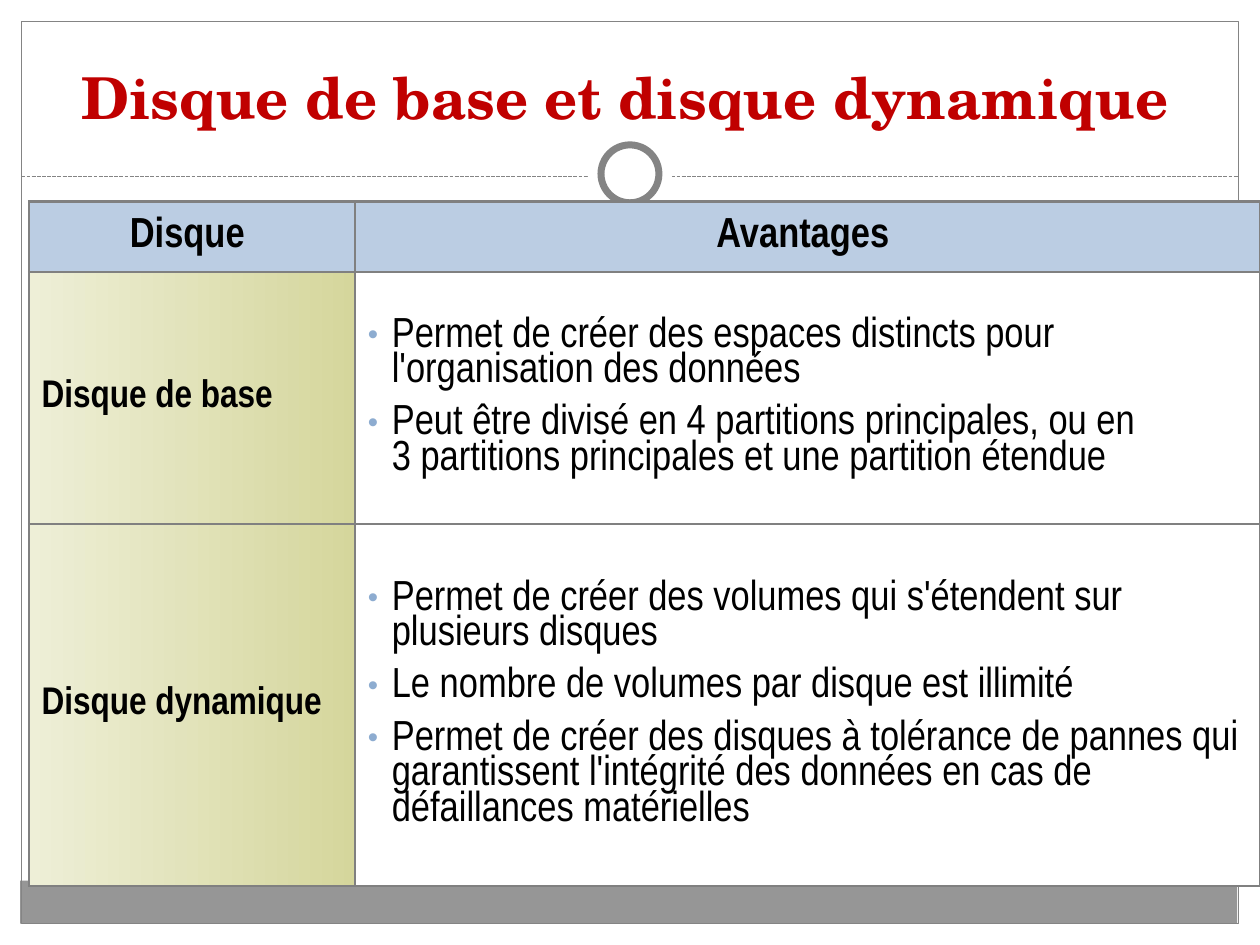
from lxml import etree
from pptx import Presentation
from pptx.dml.color import RGBColor
from pptx.enum import dml, shapes, text
from pptx.oxml import ns
from pptx.util import Inches, Pt

GRAY = "848484"
BORDER = "808080"
HEADER_FILL = "BBCDE3"
LABEL_GRADIENT = ("EEEFD7", "D5D69C")
BULLET = "8DACD0"
TABLE_FONT = "Arial Narrow"

HEADERS = ("Disque ", "Avantages ")
DISKS = (
    ("Disque de base", (
        "Permet de créer des espaces distincts pour l'organisation des données",
        "Peut être divisé en 4 partitions principales, ou en\n"
        "3 partitions principales et une partition étendue",
    )),
    ("Disque dynamique", (
        "Permet de créer des volumes qui s'étendent sur plusieurs disques",
        "Le nombre de volumes par disque est illimité",
        "Permet de créer des disques à tolérance de pannes qui garantissent "
        "l'intégrité des données en cas de défaillances matérielles",
    )),
)


def color(value):
    return RGBColor.from_string(value)


def add_sub(parent, tag, **attributes):
    return etree.SubElement(parent, ns.qn(tag), attributes)


def add_shape(slide, kind, box, fill=None, line=None, width=0.75):
    shape = slide.shapes.add_shape(kind, *map(Inches, box))
    shape.shadow.inherit = False
    if fill:
        shape.fill.solid()
        shape.fill.fore_color.rgb = color(fill)
    else:
        shape.fill.background()
    if line:
        shape.line.color.rgb = color(line)
        shape.line.width = Pt(width)
    else:
        shape.line.fill.background()


def add_circle(slide, diameter, **style):
    """Centre a white circle on the divider."""
    box = (5 - diameter / 2, 1.38 - diameter / 2, diameter, diameter)
    add_shape(slide, shapes.MSO_SHAPE.OVAL, box, fill="FFFFFF", **style)


def add_divider(slide):
    divider = slide.shapes.add_connector(
        shapes.MSO_CONNECTOR.STRAIGHT,
        Inches(0.17), Inches(1.4), Inches(9.83), Inches(1.4))
    divider.line.color.rgb = color(GRAY)
    divider.line.width = Pt(0.75)
    divider.line.dash_style = dml.MSO_LINE.SQUARE_DOT
    add_sub(divider._element.spPr, "a:effectLst")


def add_runs(paragraph, content, size, font, bold=False, ink="000000"):
    for index, line in enumerate(content.split("\n")):
        if index:
            paragraph.add_line_break()
        run = paragraph.add_run()
        run.text = line
        run.font.name = font
        run.font.size = Pt(size)
        run.font.bold = bold
        run.font.color.rgb = color(ink)


def add_title(slide):
    box = slide.shapes.add_textbox(
        Inches(0.27), Inches(0.34), Inches(9.51), Inches(0.75))
    frame = box.text_frame
    frame.word_wrap = True
    frame.vertical_anchor = text.MSO_ANCHOR.BOTTOM
    paragraph = frame.paragraphs[0]
    paragraph.alignment = text.PP_ALIGN.CENTER
    add_runs(paragraph, "Disque de base et disque dynamique ",
             33, "TeX Gyre Schola", True, "C00000")


def set_bullet(paragraph):
    properties = paragraph._p.get_or_add_pPr()
    indent = Inches(0.19)
    properties.set("marL", str(indent))
    properties.set("indent", str(-indent))
    add_sub(add_sub(properties, "a:buClr"), "a:srgbClr", val=BULLET)
    add_sub(properties, "a:buSzPct", val="70000")
    add_sub(properties, "a:buFont", typeface="Arial")
    add_sub(properties, "a:buChar", char="•")


def set_borders(cell):
    properties = cell._tc.get_or_add_tcPr()
    for index, side in enumerate(("a:lnL", "a:lnR", "a:lnT", "a:lnB")):
        border = add_sub(properties, side, w=str(Pt(1.5)))
        add_sub(add_sub(border, "a:solidFill"), "a:srgbClr", val=BORDER)
        properties.insert(index, border)


def fill_cell(cell, fill, items, size, bold=False, centered=False, bullets=False):
    """Fill a cell; a pair of colours makes a left-to-right gradient."""
    if isinstance(fill, tuple):
        cell.fill.gradient()
        cell.fill.gradient_angle = 0
        for stop, value in zip(cell.fill.gradient_stops, fill):
            stop.color.rgb = color(value)
    else:
        cell.fill.solid()
        cell.fill.fore_color.rgb = color(fill)
    set_borders(cell)
    cell.vertical_anchor = text.MSO_ANCHOR.MIDDLE
    frame = cell.text_frame
    for index, item in enumerate(items):
        paragraph = frame.add_paragraph() if index else frame.paragraphs[0]
        if bullets:
            set_bullet(paragraph)
        if centered:
            paragraph.alignment = text.PP_ALIGN.CENTER
        paragraph.line_spacing = 0.9
        if index:
            paragraph.space_before = Pt(9.6)
        add_runs(paragraph, item, size, TABLE_FONT, bold)


def add_disk_table(slide):
    table = slide.shapes.add_table(
        3, 2, Inches(0.23), Inches(1.6), Inches(9.77), Inches(5.43)).table
    for column, width in zip(table.columns, (2.59, 7.18)):
        column.width = Inches(width)
    for row, height in zip(table.rows, (0.56, 2, 2.87)):
        row.height = Inches(height)
    for index, header in enumerate(HEADERS):
        fill_cell(table.cell(0, index), HEADER_FILL, [header], 24,
                  bold=True, centered=True)
    for index, (disk, advantages) in enumerate(DISKS, 1):
        fill_cell(table.cell(index, 0), LABEL_GRADIENT, [disk], 22, bold=True)
        fill_cell(table.cell(index, 1), "FFFFFF", advantages, 24, bullets=True)


def main():
    presentation = Presentation()
    presentation.slide_width = Inches(10)
    presentation.slide_height = Inches(7.5)
    slide = presentation.slides.add_slide(presentation.slide_layouts[6])
    rectangle = shapes.MSO_SHAPE.RECTANGLE
    add_shape(slide, rectangle, (0.16, 6.99, 9.66, 0.34), fill="969696")
    add_shape(slide, rectangle, (0.17, 0.17, 9.66, 7.16), line=GRAY)
    add_divider(slide)
    add_circle(slide, 0.67)
    add_circle(slide, 0.46, line=GRAY, width=4)
    add_title(slide)
    add_disk_table(slide)
    presentation.save("out.pptx")


if __name__ == "__main__":
    main()
